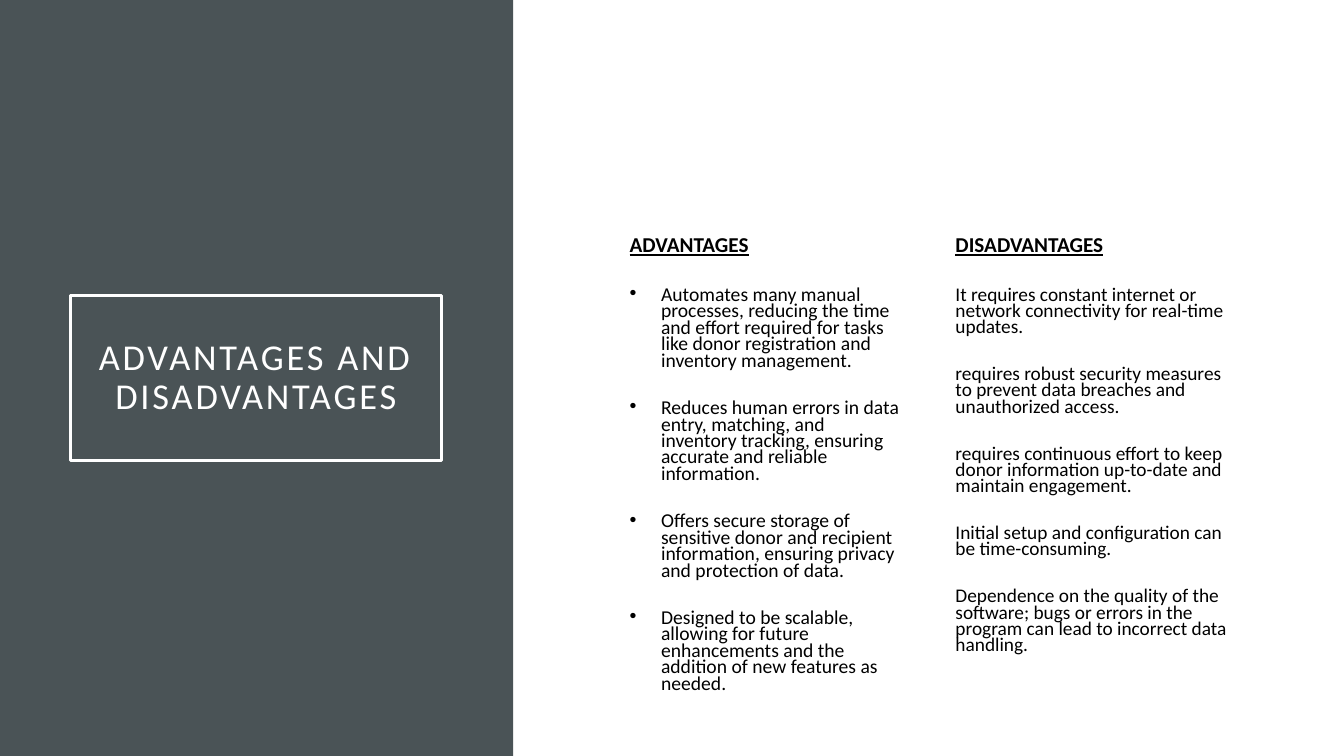
import pptx
import pptx.util
import pptx.dml.color
import pptx.enum.shapes
import pptx.enum.text
import lxml.etree
from pptx.oxml.ns import qn

Pt = pptx.util.Pt
COLORS = {"panel": "4A5356", "light": "FFFFFF", "text": "000000"}

ADVANTAGES = [
    "Automates many manual processes, reducing the time and effort required for tasks like donor registration and inventory management.",
    "Reduces human errors in data entry, matching, and inventory tracking, ensuring accurate and reliable information.",
    "Offers secure storage of sensitive donor and recipient information, ensuring privacy and protection of data.",
    "Designed to be scalable, allowing for future enhancements and the addition of new features as needed.",
]
DISADVANTAGES = [
    "It requires constant internet or network connectivity for real-time updates.",
    "requires robust security measures to prevent data breaches and unauthorized access.",
    "requires continuous effort to keep donor information up-to-date and maintain engagement.",
    "Initial setup and configuration can be time-consuming.",
    "Dependence on the quality of the software; bugs or errors in the program can lead to incorrect data handling.",
]


def rgb(name):
    return pptx.dml.color.RGBColor.from_string(COLORS[name])


def write_paragraph(paragraph, text, size, color="text", bold=False, underline=False,
                    align="LEFT", line_spacing=1.0, space_after=0, tracking=0,
                    bullet=None, indent=0):
    paragraph.alignment = getattr(pptx.enum.text.PP_ALIGN, align)
    paragraph.line_spacing = line_spacing
    paragraph.space_before = Pt(0)
    paragraph.space_after = Pt(space_after)
    properties = paragraph._p.get_or_add_pPr()
    properties.set("marL", str(Pt(indent)))
    properties.set("indent", str(-Pt(indent)))
    if bullet:
        lxml.etree.SubElement(properties, qn("a:buFont")).set("typeface", "Arial")
        lxml.etree.SubElement(properties, qn("a:buChar")).set("char", bullet)
    else:
        lxml.etree.SubElement(properties, qn("a:buNone"))
    run = paragraph.add_run()
    run.text = text
    run.font.name = "Calibri"
    run.font.size = Pt(size)
    run.font.bold = bold
    run.font.underline = underline
    run.font.color.rgb = rgb(color)
    if tracking:
        run._r.get_or_add_rPr().set("spc", str(tracking * 100))


class SlideBuilder:
    def __init__(self, presentation):
        self.slide = presentation.slides.add_slide(presentation.slide_layouts[4])
        self.slide.background.fill.solid()
        self.slide.background.fill.fore_color.rgb = rgb("light")

    def panel(self, left, top, width, height):
        shape = self.slide.shapes.add_shape(
            pptx.enum.shapes.MSO_SHAPE.RECTANGLE, Pt(left), Pt(top), Pt(width), Pt(height))
        shape.shadow.inherit = False
        shape.fill.solid()
        shape.fill.fore_color.rgb = rgb("panel")
        shape.line.fill.background()
        self.slide.shapes.title._element.addprevious(shape._element)

    def placeholder(self, index, box, texts, anchor="TOP", **text_format):
        shape = self.slide.placeholders[index]
        shape.left, shape.top, shape.width, shape.height = map(Pt, box)
        frame = shape.text_frame
        frame.word_wrap = True
        frame.auto_size = pptx.enum.text.MSO_AUTO_SIZE.NONE
        frame.vertical_anchor = getattr(pptx.enum.text.MSO_ANCHOR, anchor)
        for number, text in enumerate(texts):
            paragraph = frame.add_paragraph() if number else frame.paragraphs[0]
            write_paragraph(paragraph, text, **text_format)
        return shape

    def framed_title(self, box, text):
        shape = self.placeholder(0, box, [text], anchor="MIDDLE", size=26, color="light",
                                 align="CENTER", line_spacing=0.9, tracking=2)
        shape.line.color.rgb = rgb("light")
        shape.line.width = Pt(2.5)
        frame = shape.text_frame
        frame.margin_left = frame.margin_right = Pt(14.4)
        frame.margin_top = frame.margin_bottom = Pt(14.4)

    def column(self, index, left, heading, items, height, **text_format):
        self.placeholder(index, (left, 162, 208.8, 34.5), [heading], size=15.1,
                         bold=True, underline=True, space_after=5)
        self.placeholder(index + 1, (left, 202.3, 208.8, height), items,
                         line_spacing=0.7, space_after=22, **text_format)


def main():
    presentation = pptx.Presentation()
    presentation.slide_width = Pt(960)
    presentation.slide_height = Pt(540)
    builder = SlideBuilder(presentation)
    builder.panel(0, 0, 366.5, 540)
    builder.framed_title((50.4, 211, 265, 118), "ADVANTAGES AND DISADVANTAGES")
    builder.column(1, 442.5, "ADVANTAGES", ADVANTAGES, 247.7, size=14, bullet="•", indent=22.5)
    builder.column(3, 675.3, "DISADVANTAGES", DISADVANTAGES, 173.5, size=13.8)
    presentation.save("out.pptx")


if __name__ == "__main__":
    main()
